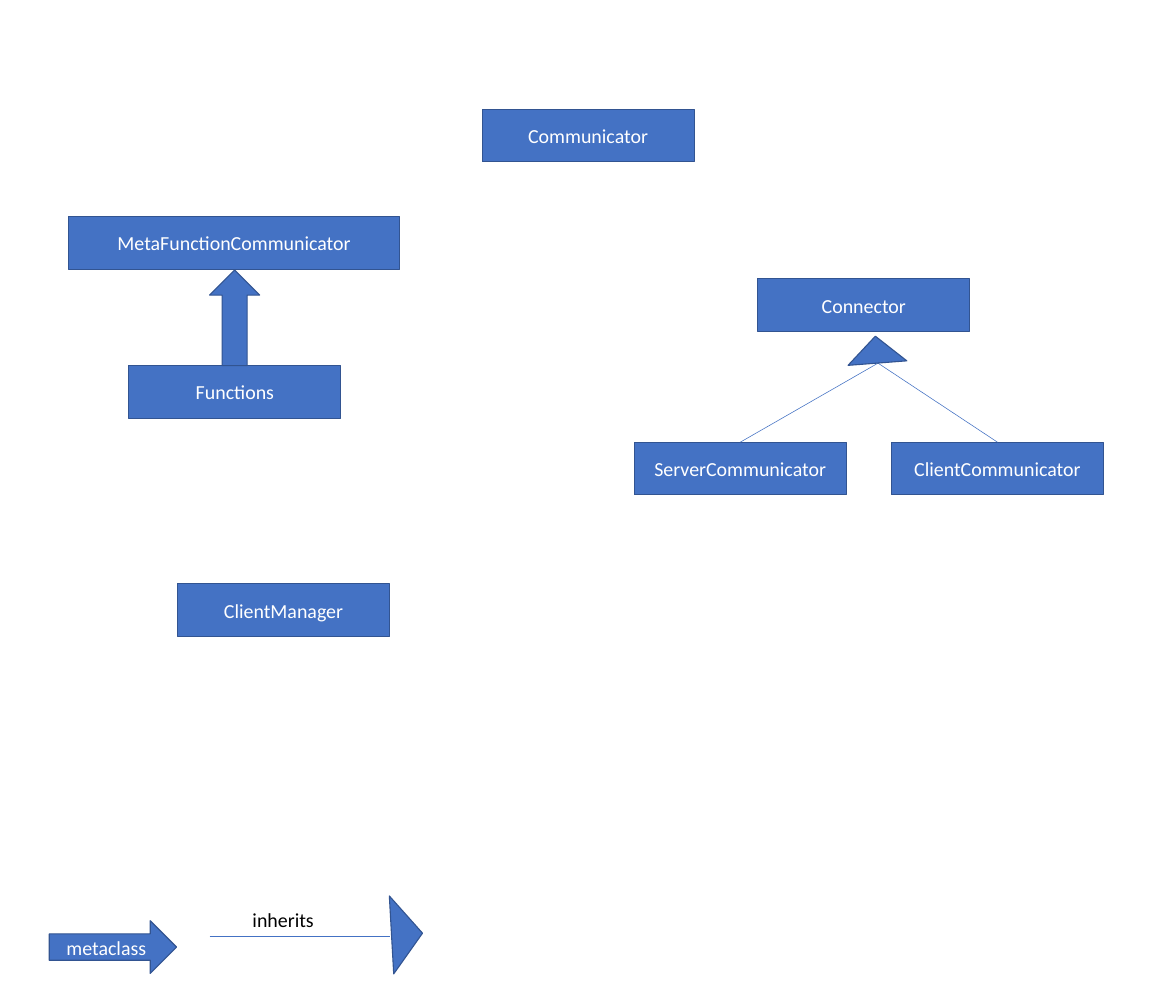
from pptx import Presentation
from pptx.dml.color import RGBColor
from pptx.enum.shapes import MSO_CONNECTOR as Link, MSO_SHAPE as Preset
from pptx.enum.text import MSO_ANCHOR as Anchor, MSO_AUTO_SIZE as AutoSize, PP_ALIGN as Align
from pptx.oxml.ns import qn
from pptx.util import Cm, Pt

BLUE = RGBColor(0x44, 0x72, 0xC4)
DARK_BLUE = RGBColor(0x32, 0x54, 0x91)
WHITE = RGBColor(0xFF, 0xFF, 0xFF)
BLACK = RGBColor(0x00, 0x00, 0x00)

BOX_WIDTH = 6.76
BOX_HEIGHT = 1.68
CHILD_TOP = 14.1
FORK = (27.99, 11.58)
LEGEND_LINE_TOP = 29.85


class ClassDiagram:
    """Draws class boxes, arrows, lines and labels in one style on a slide."""

    def __init__(self, slide):
        self.slide = slide
        self.font_name = "Calibri"
        self.font_size = Pt(18)

    def set_text(self, shape, text, color, align):
        shape.text_frame.text = text
        paragraph = shape.text_frame.paragraphs[0]
        paragraph.alignment = align
        for run in paragraph.runs:
            run.font.name = self.font_name
            run.font.size = self.font_size
            run.font.color.rgb = color

    def figure(self, preset, left, top, width, height, text="", rotation=0):
        shape = self.slide.shapes.add_shape(
            preset, Cm(left), Cm(top), Cm(width), Cm(height))
        shape.rotation = rotation
        shape.shadow.inherit = False
        shape.fill.solid()
        shape.fill.fore_color.rgb = BLUE
        shape.line.color.rgb = DARK_BLUE
        shape.line.width = Pt(1)
        shape.text_frame.vertical_anchor = Anchor.MIDDLE
        if text:
            self.set_text(shape, text, WHITE, Align.CENTER)

    def class_box(self, name, left, top, width=BOX_WIDTH):
        self.figure(Preset.RECTANGLE, left, top, width, BOX_HEIGHT, name)

    def line(self, start, end):
        connector = self.slide.shapes.add_connector(
            Link.STRAIGHT, *(Cm(value) for value in (*start, *end)))
        connector.line.color.rgb = BLUE
        connector.line.width = Pt(0.5)
        properties = connector._element.spPr
        properties.append(properties.makeelement(qn("a:effectLst"), {}))

    def label(self, text, left, top, width, height):
        box = self.slide.shapes.add_textbox(
            Cm(left), Cm(top), Cm(width), Cm(height))
        box.text_frame.word_wrap = True
        box.text_frame.auto_size = AutoSize.SHAPE_TO_FIT_TEXT
        self.set_text(box, text, BLACK, Align.LEFT)


def main():
    deck = Presentation()
    deck.slide_width = Cm(37.49)
    deck.slide_height = Cm(31.6)
    diagram = ClassDiagram(deck.slides.add_slide(deck.slide_layouts[6]))

    diagram.class_box("Communicator", 15.37, 3.48)
    diagram.class_box("MetaFunctionCommunicator", 2.18, 6.91, width=10.57)
    diagram.class_box("Connector", 24.16, 8.89)
    diagram.class_box("Functions", 4.11, 11.66)
    diagram.class_box("ClientManager", 5.66, 18.62)

    for child, left in (("ServerCommunicator", 20.22), ("ClientCommunicator", 28.42)):
        diagram.class_box(child, left, CHILD_TOP)
        diagram.line(FORK, (left + BOX_WIDTH / 2, CHILD_TOP))
    diagram.figure(Preset.ISOSCELES_TRIANGLE, 27, 10.72, 1.88, 0.86, rotation=355.6)

    diagram.figure(Preset.UP_ARROW, 6.68, 8.61, 1.6, 3.05)

    diagram.figure(Preset.RIGHT_ARROW, 1.57, 29.36, 4.06, BOX_HEIGHT, "metaclass")
    diagram.line((6.68, LEGEND_LINE_TOP), (12.42, LEGEND_LINE_TOP))
    diagram.figure(Preset.ISOSCELES_TRIANGLE, 11.73, 29.29, 2.49, 0.99, rotation=86.8)
    diagram.label("inherits", 7.8, 28.83, 3.48, 1.02)

    deck.save("out.pptx")


if __name__ == "__main__":
    main()
